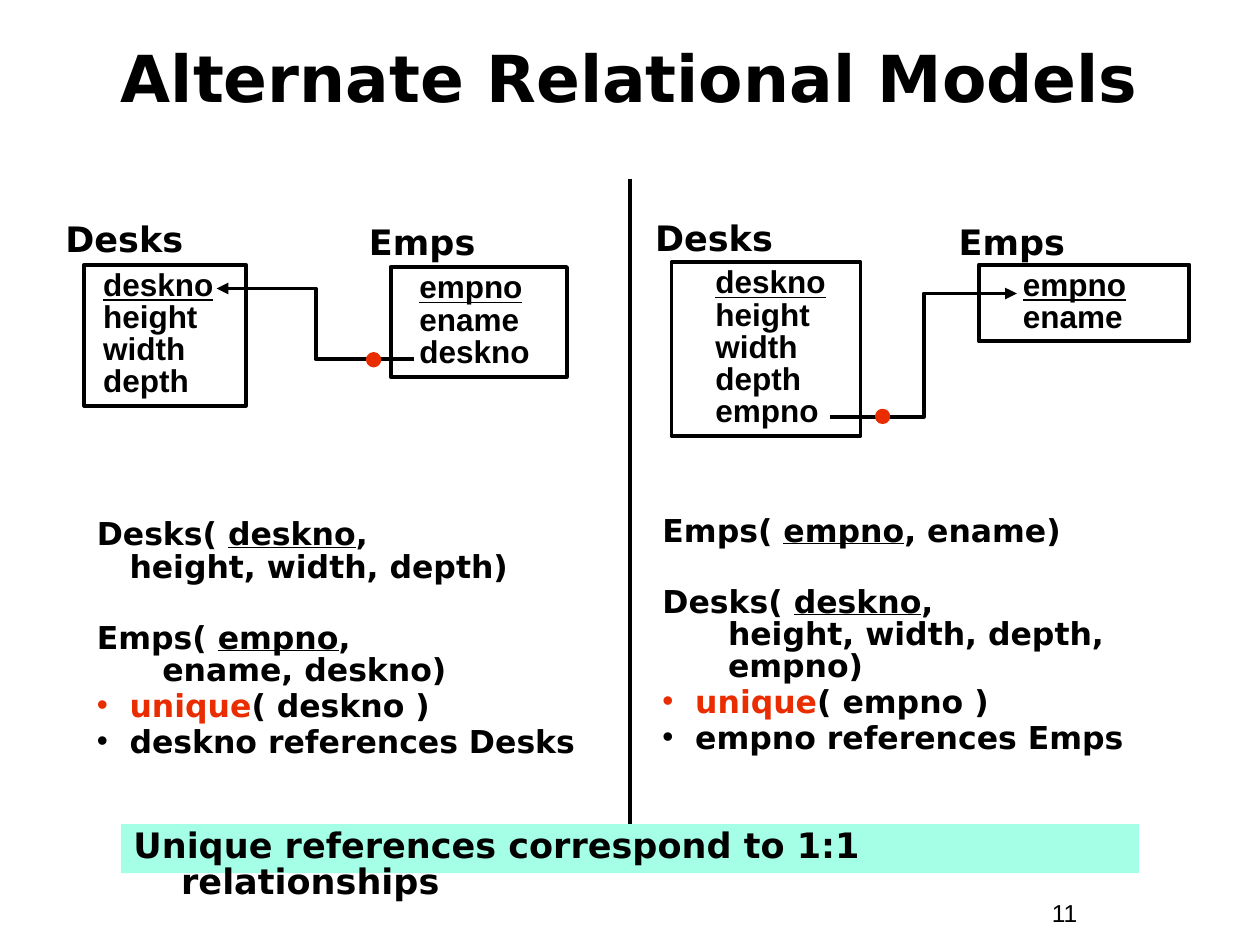
"""Build the slide comparing two relational models of a 1:1 relationship."""
import pptx
import pptx.dml.color
import pptx.enum.shapes
import pptx.enum.text
import pptx.oxml
import pptx.oxml.ns
import pptx.util

Inches = pptx.util.Inches
Pt = pptx.util.Pt
BLACK = pptx.dml.color.RGBColor(0x00, 0x00, 0x00)
RED = pptx.dml.color.RGBColor(0xEA, 0x2D, 0x00)
MINT = pptx.dml.color.RGBColor(0xA5, 0xFF, 0xE7)
SHAPE = pptx.enum.shapes.MSO_SHAPE
CONNECTOR = pptx.enum.shapes.MSO_CONNECTOR
ALIGN = pptx.enum.text.PP_ALIGN
ANCHOR = pptx.enum.text.MSO_ANCHOR
HEADING_FONT = "DejaVu Sans"
PLAIN_FONT = "Arial"
STEP = 0.26


class SlideBuilder:
    def __init__(self, slide):
        self.slide = slide
        self.line_width = Pt(2.25)

    def add_xml(self, parent, tag, **attributes):
        element = pptx.oxml.parse_xml(f"<{tag} {pptx.oxml.ns.nsdecls('a')}/>")
        for name, value in attributes.items():
            element.set(name, str(value))
        parent.append(element)
        return element

    def format(self, paragraph, size, font=HEADING_FONT, bold=True, spacing=None,
               left=0, first=0, before=0, bullet=None):
        properties = paragraph._p.get_or_add_pPr()
        properties.set("marL", str(Inches(left)))
        properties.set("indent", str(Inches(first)))
        if spacing:
            paragraph.line_spacing = spacing
        if before:
            paragraph.space_before = Pt(before)
        if bullet is not None:
            color = self.add_xml(properties, "a:buClr")
            self.add_xml(color, "a:srgbClr", val=bullet)
            self.add_xml(properties, "a:buFont", typeface=PLAIN_FONT)
            self.add_xml(properties, "a:buChar", char="•")
        paragraph.font.size = Pt(size)
        paragraph.font.name = font
        paragraph.font.bold = bold
        paragraph.font.color.rgb = BLACK

    def text_box(self, left, top, width, height):
        box = self.slide.shapes.add_textbox(
            Inches(left), Inches(top), Inches(width), Inches(height))
        box.text_frame.word_wrap = True
        return box.text_frame

    def label(self, text, left, top, width=2.15, height=0.44, size=20,
              align=ALIGN.LEFT, anchor=ANCHOR.TOP, **style):
        frame = self.text_box(left, top, width, height)
        frame.vertical_anchor = anchor
        paragraph = frame.paragraphs[0]
        paragraph.text = text
        paragraph.alignment = align
        self.format(paragraph, size, **style)

    def shape(self, kind, left, top, width, height, fill=None, line=None):
        shape = self.slide.shapes.add_shape(
            kind, Inches(left), Inches(top), Inches(width), Inches(height))
        shape.shadow.inherit = False
        if fill is None:
            shape.fill.background()
        else:
            shape.fill.solid()
            shape.fill.fore_color.rgb = fill
        if line is None:
            shape.line.fill.background()
        else:
            shape.line.color.rgb = line
            shape.line.width = self.line_width
        frame = shape.text_frame
        frame.word_wrap = True
        frame.vertical_anchor = ANCHOR.TOP
        return frame

    def table_box(self, columns, left, top, width, height, indent):
        frame = self.shape(SHAPE.RECTANGLE, left, top, width, height, line=BLACK)
        for index, column in enumerate(columns):
            paragraph = frame.add_paragraph() if index else frame.paragraphs[0]
            paragraph.alignment = ALIGN.LEFT
            paragraph.add_run().text = column
            self.format(paragraph, 18, PLAIN_FONT, spacing=0.85, left=indent)
            paragraph.font.underline = index == 0

    def connector(self, kind, begin, end, arrow=False):
        connector = self.slide.shapes.add_connector(
            kind, *(Inches(value) for value in begin + end))
        connector.line.color.rgb = BLACK
        connector.line.width = self.line_width
        if arrow:
            self.add_xml(connector.line._get_or_add_ln(), "a:tailEnd", type="triangle")
        self.add_xml(connector._element.spPr, "a:effectLst")

    def dot(self, left, top):
        self.shape(SHAPE.OVAL, left, top, 0.09, 0.09, RED, RED)

    def schema(self, left, top, relations, foreign_key, target):
        frame = self.text_box(left, top, 4.17, 2.38)
        paragraph = frame.paragraphs[0]
        for index, (name, key, ending, depth, continuation) in enumerate(relations):
            if index:
                paragraph = frame.add_paragraph()
            paragraph.add_run().text = f"{name}( "
            key_run = paragraph.add_run()
            key_run.text = key
            key_run.font.underline = True
            paragraph.add_run().text = ending
            self.format(paragraph, 18, spacing=0.85, left=STEP, first=-STEP,
                        before=22.2 if index else 0)
            for line in continuation:
                paragraph = frame.add_paragraph()
                paragraph.text = line
                self.format(paragraph, 18, spacing=0.85, left=depth * STEP)
        bullets = (
            (RED, (("unique", RED), (f"( {foreign_key} )", BLACK))),
            (BLACK, ((f"{foreign_key} references {target}", BLACK),)),
        )
        for bullet, runs in bullets:
            paragraph = frame.add_paragraph()
            for text, color in runs:
                run = paragraph.add_run()
                run.text = text
                run.font.color.rgb = color
            self.format(paragraph, 18, spacing=0.85, left=STEP, first=-STEP,
                        before=2.2, bullet=bullet)

    def banner(self, text, left, top, width, height):
        frame = self.shape(SHAPE.RECTANGLE, left, top, width, height, MINT)
        paragraph = frame.paragraphs[0]
        paragraph.text = text
        paragraph.alignment = ALIGN.LEFT
        self.format(paragraph, 20, spacing=0.85, left=0.38, first=-0.38)


def main():
    presentation = pptx.Presentation()
    presentation.slide_width = Inches(10)
    presentation.slide_height = Inches(7.5)
    slide = presentation.slides.add_slide(presentation.slide_layouts[6])
    builder = SlideBuilder(slide)

    builder.label("11", 8.25, 7.08, 0.92, 0.34, 14, font=PLAIN_FONT, bold=False)
    builder.connector(CONNECTOR.STRAIGHT, (5, 1.42), (5, 6.83))
    builder.label("Alternate Relational Models", 0.33, 0.33, 9.33, 0.67, 37,
                  ALIGN.CENTER, ANCHOR.MIDDLE, spacing=0.8)

    for text, left, top in (("Desks", 0.42, 1.68), ("Emps", 2.83, 1.7),
                            ("Desks", 5.1, 1.67), ("Emps", 7.51, 1.7)):
        builder.label(text, left, top)

    desk_columns = ["deskno", "height", "width", "depth"]
    employee_columns = ["empno", "ename"]
    builder.table_box(desk_columns, 0.67, 2.1, 1.28, 1.12, 0.05)
    builder.table_box(employee_columns + ["deskno"], 3.1, 2.12, 1.4, 0.87, 0.13)
    builder.table_box(desk_columns + ["empno"], 5.33, 2.08, 1.5, 1.38, 0.25)
    builder.table_box(employee_columns, 7.77, 2.1, 1.67, 0.61, 0.25)

    builder.connector(CONNECTOR.ELBOW, (3.29, 2.85), (1.72, 2.29), arrow=True)
    builder.connector(CONNECTOR.ELBOW, (6.59, 3.31), (8.07, 2.33), arrow=True)
    builder.dot(2.92, 2.81)
    builder.dot(6.96, 3.26)

    builder.schema(0.67, 4.08, (
        ("Desks", "deskno", ",", 1, ["height, width, depth)"]),
        ("Emps", "empno", ",", 2, ["ename, deskno)"]),
    ), "deskno", "Desks")
    builder.schema(5.16, 4.05, (
        ("Emps", "empno", ", ename)", 1, []),
        ("Desks", "deskno", ",", 2, ["height, width, depth,", "empno)"]),
    ), "empno", "Emps")
    builder.banner("Unique references correspond to 1:1 relationships",
                   0.96, 6.54, 8.08, 0.39)
    presentation.save("out.pptx")


if __name__ == "__main__":
    main()
